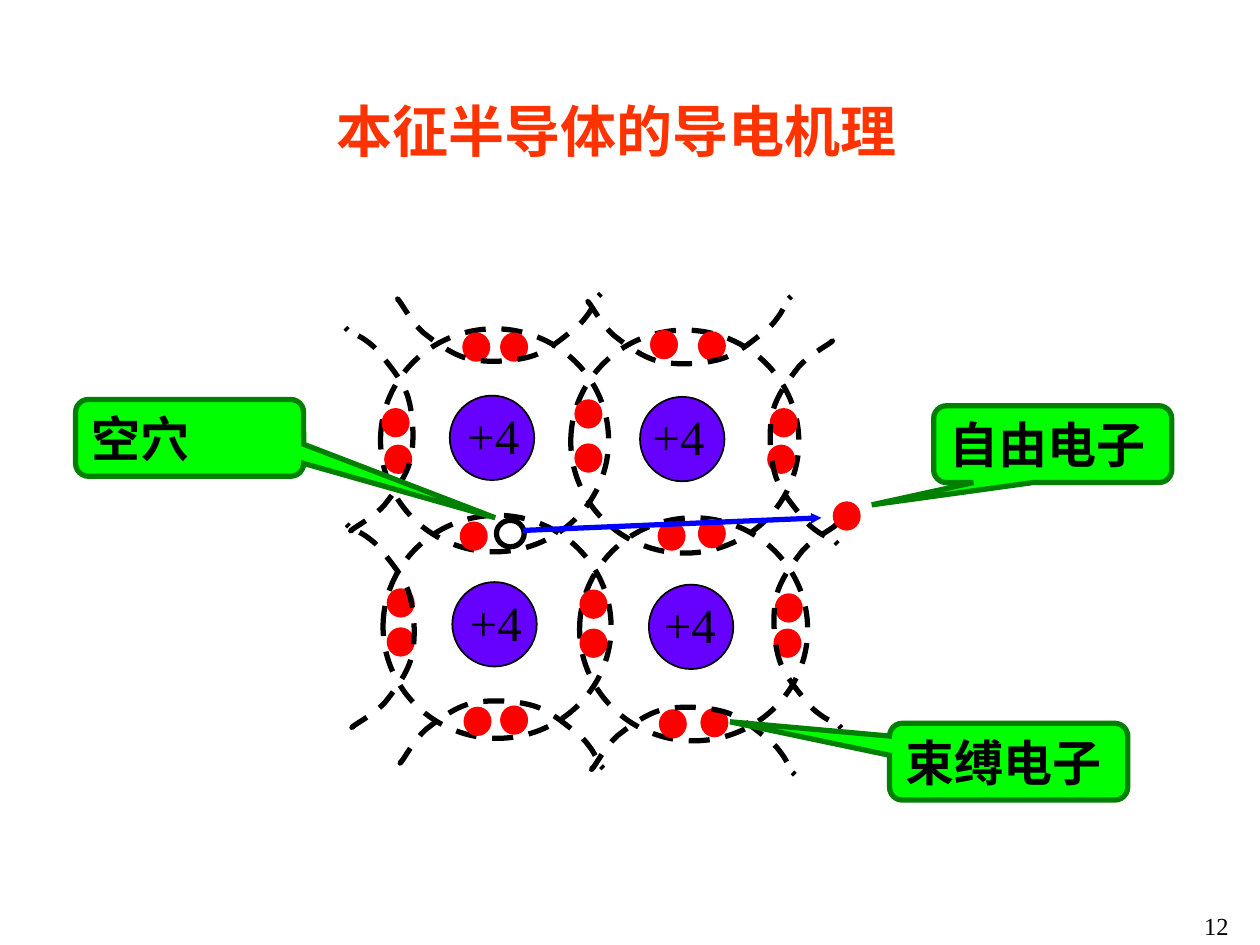
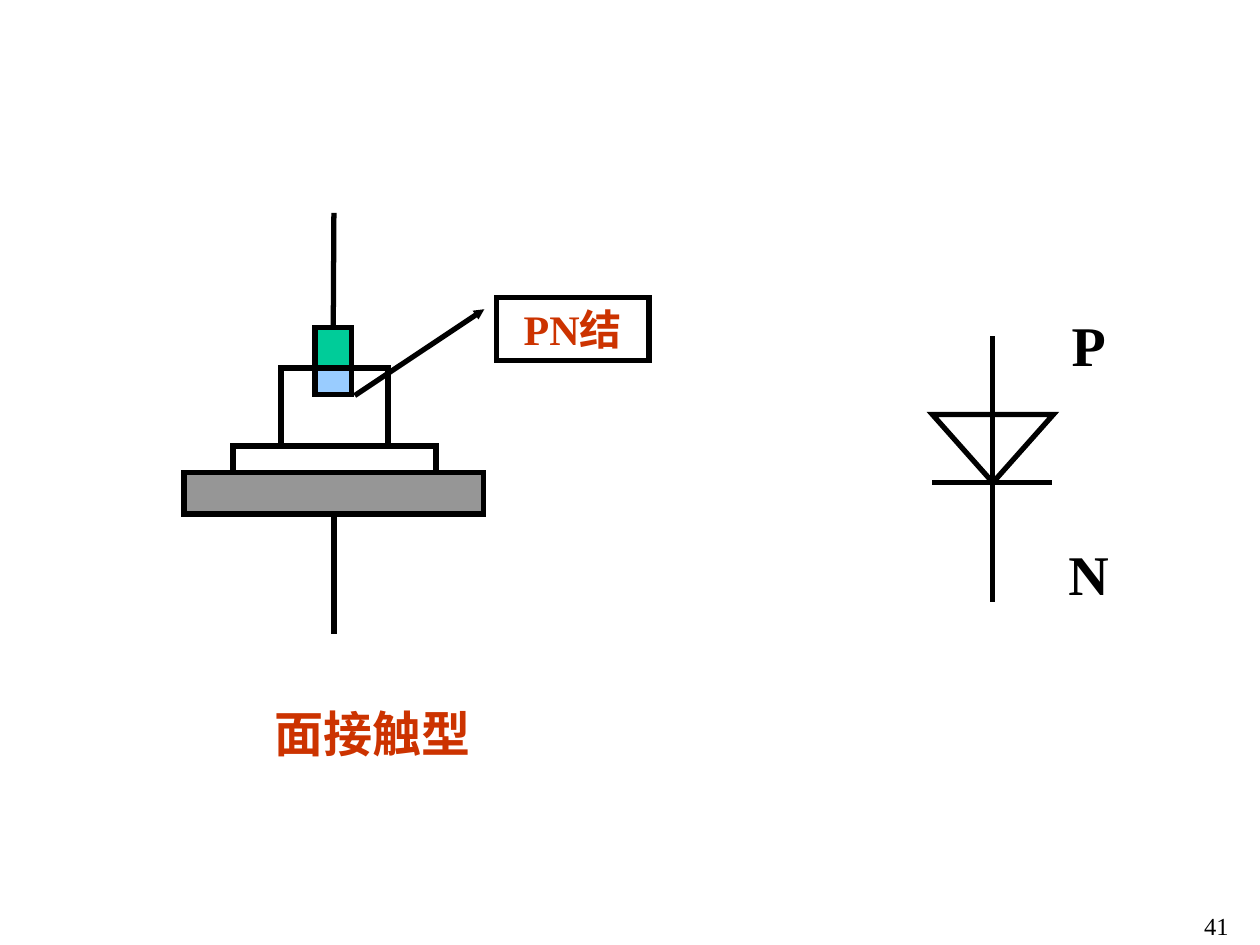
from typing import Callable, NamedTuple, Optional

from lxml import etree
from pptx import Presentation, util as u
from pptx.dml.color import RGBColor
from pptx.enum import dml, shapes, text
from pptx.oxml.ns import qn
from pptx.shapes.autoshape import Shape
from pptx.shapes.connector import Connector
from pptx.slide import Slide

COLORS = {
    "black": "000000",
    "white": "FFFFFF",
    "title": "FF3300",
    "label": "CC3300",
    "electron": "FF0000",
    "nucleus": "6600FF",
    "motion": "0000FF",
    "callout": "00FF00",
    "callout_edge": "008000",
    "base": "969696",
    "p_region": "00CC99",
    "n_region": "99CCFF",
}
FONT = "Times New Roman"
KINDS = shapes.MSO_SHAPE
LEFT, CENTER = text.PP_ALIGN.LEFT, text.PP_ALIGN.CENTER
TOP, MIDDLE = text.MSO_ANCHOR.TOP, text.MSO_ANCHOR.MIDDLE


class Frame(NamedTuple):
    x: float
    y: float
    width: float
    height: float

    def lengths(self) -> list[u.Length]:
        return [u.Inches(value) for value in self]


class Point(NamedTuple):
    x: float
    y: float


class Style(NamedTuple):
    size: int
    color: str = "black"
    bold: bool = True
    align: text.PP_ALIGN = LEFT
    anchor: text.MSO_ANCHOR = MIDDLE
    wrap: bool = True
    grow: bool = True


class Atom(NamedTuple):
    x: float
    y: float
    label_shift: float


class Arc(NamedTuple):
    side: str
    x: float
    y: float


class Callout(NamedTuple):
    words: str
    frame: Frame
    tip: Point
    wrap: bool


TITLE = Style(32, "title", align=CENTER, wrap=False)
CHARGE = Style(28, bold=False, anchor=TOP)
POLE = Style(32, align=CENTER)
CAPTION = Style(28, "label")
JUNCTION = Style(24, "label", align=CENTER)
PAGE_NUMBER = Style(14, bold=False, align=CENTER, grow=False)

ATOMS = [
    Atom(3.57, 3.14, 0.04), Atom(5.08, 3.15, 0),
    Atom(3.59, 4.62, 0.04), Atom(5.15, 4.64, 0.02),
]
ELECTRONS = [
    Point(4.58, 3.19), Point(4.58, 3.54), Point(5.56, 4.14), Point(5.24, 4.16),
    Point(4.62, 4.7), Point(4.62, 5.01), Point(3.67, 4.16), Point(3.09, 4.69),
    Point(3.09, 5), Point(3.69, 2.66), Point(3.99, 2.66), Point(3.05, 3.26),
    Point(3.07, 3.55), Point(5.58, 5.64), Point(5.25, 5.65), Point(6.11, 3.55),
    Point(6.13, 3.26), Point(3.99, 5.62), Point(3.7, 5.63), Point(5.56, 2.65),
    Point(5.18, 2.64), Point(6.16, 5.01), Point(6.17, 4.73),
]
FREE_ELECTRON = Point(6.63, 4)
ARC_DEPTH, ARC_SPAN = 0.56, 1.63
ARC_KNOTS = [
    Point(0.49, 0.03),
    Point(0.49, 0.02), Point(0.53, 0), Point(0.49, 0.03),
    Point(0.45, 0.06), Point(0.32, 0.13), Point(0.24, 0.22),
    Point(0.17, 0.31), Point(0.06, 0.45), Point(0.03, 0.59),
    Point(0, 0.73), Point(0.01, 0.93), Point(0.05, 1.07),
    Point(0.09, 1.21), Point(0.21, 1.34), Point(0.27, 1.42),
    Point(0.33, 1.49), Point(0.35, 1.5), Point(0.39, 1.53),
    Point(0.43, 1.56), Point(0.5, 1.59), Point(0.53, 1.61),
    Point(0.55, 1.62), Point(0.55, 1.63), Point(0.55, 1.63),
    Point(0.55, 1.63), Point(0.53, 1.61), Point(0.53, 1.61),
]
ARC_TURNS: dict[str, Callable[[Point], Point]] = {
    "right": lambda p: p,
    "left": lambda p: Point(ARC_DEPTH - p.x, ARC_SPAN - p.y),
    "top": lambda p: Point(p.y, ARC_DEPTH - p.x),
    "bottom": lambda p: Point(p.y, p.x),
}
ARCS = [
    Arc("right", 6.1, 2.69), Arc("right", 6.13, 4.15),
    Arc("top", 3.14, 2.32), Arc("top", 4.65, 2.34),
    Arc("bottom", 3.16, 5.55), Arc("bottom", 4.68, 5.6),
    Arc("left", 2.73, 2.6), Arc("left", 2.74, 4.16),
]
CALLOUTS = [
    Callout("自由电子", Frame(7.41, 3.22, 1.89, 0.61), Point(-0.76, 0.79), False),
    Callout("空穴", Frame(0.6, 3.17, 1.81, 0.61), Point(1.34, 1.04), True),
    Callout("束缚电子", Frame(7.06, 5.74, 1.89, 0.61), Point(-1.17, -0.52), False),
]


def rgb(color: str) -> RGBColor:
    return RGBColor.from_string(COLORS[color])


def paint(shape: Shape, fill: Optional[str], line: str = "black",
          weight: float = 3, dashed: bool = False) -> None:
    shape.shadow.inherit = False
    if fill:
        shape.fill.solid()
        shape.fill.fore_color.rgb = rgb(fill)
    else:
        shape.fill.background()
    shape.line.color.rgb = rgb(line)
    shape.line.width = u.Pt(weight)
    if dashed:
        shape.line.dash_style = dml.MSO_LINE.DASH


def write(shape: Shape, words: str, style: Style) -> None:
    frame = shape.text_frame
    frame.word_wrap = style.wrap
    frame.vertical_anchor = style.anchor
    if style.grow:
        frame.auto_size = text.MSO_AUTO_SIZE.SHAPE_TO_FIT_TEXT
    para = frame.paragraphs[0]
    para.alignment = style.align
    span = para.add_run()
    span.text = words
    span.font.name = FONT
    span.font.size = u.Pt(style.size)
    span.font.bold = style.bold
    span.font.color.rgb = rgb(style.color)


def add_text(page: Slide, frame: Frame, words: str, style: Style) -> None:
    write(page.shapes.add_textbox(*frame.lengths()), words, style)


def extend_outline(shape: Shape | Connector, tag: str, **settings: str) -> None:
    outline = shape.element.spPr.find(qn("a:ln"))
    etree.SubElement(outline, qn(tag), **settings)


def add_figure(page: Slide, kind: KINDS, frame: Frame, fill: Optional[str] = None,
               line: str = "black", weight: float = 3, dashed: bool = False) -> Shape:
    shape = page.shapes.add_shape(kind, *frame.lengths())
    paint(shape, fill, line, weight, dashed)
    extend_outline(shape, "a:miter", lim="800000")
    return shape


def add_arrowhead(shape: Shape | Connector, end: str) -> None:
    extend_outline(shape, f"a:{end}", type="triangle", w="sm", len="sm")


def add_line(page: Slide, start: Point, end: Point, color: str = "black") -> Connector:
    line = page.shapes.add_connector(
        shapes.MSO_CONNECTOR.STRAIGHT, *[u.Inches(value) for value in start + end])
    line.line.color.rgb = rgb(color)
    line.line.width = u.Pt(3)
    etree.SubElement(line.element.spPr, qn("a:effectLst"))
    return line


def add_electron(page: Slide, spot: Point) -> None:
    add_figure(page, KINDS.OVAL, Frame(*spot, 0.18, 0.19), "electron", "electron")


def bend(shape: Shape) -> None:
    segments = list(shape.element.iter(qn("a:lnTo")))
    for first in range(0, len(segments), 3):
        curve = etree.Element(qn("a:cubicBezTo"))
        segments[first].addprevious(curve)
        for segment in segments[first:first + 3]:
            curve.append(segment[0])
            segment.getparent().remove(segment)


def add_arc(page: Slide, arc: Arc) -> None:
    turned = [ARC_TURNS[arc.side](knot) for knot in ARC_KNOTS]
    placed = [(u.Inches(arc.x + p.x), u.Inches(arc.y + p.y)) for p in turned]
    builder = page.shapes.build_freeform(*placed[0])
    builder.add_line_segments(placed[1:], close=False)
    shape = builder.convert_to_shape()
    bend(shape)
    paint(shape, None, dashed=True)
    extend_outline(shape, "a:round")


def add_callout(page: Slide, callout: Callout) -> None:
    shape = add_figure(page, KINDS.ROUNDED_RECTANGULAR_CALLOUT, callout.frame,
                       "callout", "callout_edge")
    shape.adjustments[0], shape.adjustments[1] = callout.tip
    write(shape, callout.words, Style(28, wrap=callout.wrap))


def add_page_number(page: Slide, number: int) -> None:
    add_text(page, Frame(8.69, 7.18, 1.93, 0.33), str(number), PAGE_NUMBER)


def draw_conduction(page: Slide) -> None:
    for atom in ATOMS:
        add_figure(page, KINDS.OVAL, Frame(atom.x, atom.y, 0.67, 0.67),
                   "nucleus", weight=1)
        add_figure(page, KINDS.OVAL, Frame(atom.x - 0.55, atom.y - 0.53, 1.81, 1.77),
                   dashed=True)
    for spot in ELECTRONS:
        add_electron(page, spot)
    for arc in ARCS:
        add_arc(page, arc)
    for atom in ATOMS:
        add_text(page, Frame(atom.x + atom.label_shift, atom.y + 0.03, 0.77, 0.57),
                 "+4", CHARGE)
    add_text(page, Frame(2.57, 0.71, 4.65, 0.64), "本征半导体的导电机理", TITLE)
    add_electron(page, FREE_ELECTRON)
    add_figure(page, KINDS.OVAL, Frame(3.94, 4.13, 0.22, 0.21), "white")
    motion = add_line(page, Point(4.15, 4.21), Point(6.52, 4.11), "motion")
    add_arrowhead(motion, "tailEnd")
    for callout in CALLOUTS:
        add_callout(page, callout)


def draw_contact(page: Slide) -> None:
    base = add_figure(page, KINDS.RECTANGLE, Frame(1.46, 3.75, 2.38, 0.33), "base")
    add_figure(page, KINDS.RECTANGLE, Frame(1.85, 3.54, 1.61, 0.21))
    add_figure(page, KINDS.RECTANGLE, Frame(2.23, 2.92, 0.85, 0.62))
    p_region = add_figure(page, KINDS.RECTANGLE, Frame(2.5, 2.6, 0.29, 0.52), "p_region")
    add_figure(page, KINDS.RECTANGLE, Frame(2.5, 2.92, 0.29, 0.21), "n_region")
    lower_lead = add_line(page, Point(2.65, 4.08), Point(2.65, 5.03))
    lower_lead.begin_connect(base, 2)
    upper_lead = add_line(page, Point(2.65, 2.6), Point(2.65, 1.69))
    upper_lead.begin_connect(p_region, 0)
    junction = add_figure(page, KINDS.LINE_CALLOUT_1, Frame(3.94, 2.36, 1.21, 0.5))
    for index, value in enumerate((0.19, -0.08, 1.56, -0.93)):
        junction.adjustments[index] = value
    add_arrowhead(junction, "headEnd")
    write(junction, "PN结", JUNCTION)
    add_text(page, Frame(2.08, 5.53, 2.08, 0.57), "面接触型", CAPTION)


def draw_symbol(page: Slide) -> None:
    triangle = add_figure(page, KINDS.ISOSCELES_TRIANGLE, Frame(7.4, 3.29, 0.96, 0.54))
    triangle.rotation = 180
    add_line(page, Point(7.4, 3.83), Point(8.35, 3.83))
    add_line(page, Point(7.88, 2.67), Point(7.88, 4.78))
    for pole, top in (("P", 2.41), ("N", 4.23)):
        add_text(page, Frame(8.35, top, 0.58, 0.64), pole, POLE)


def draw_diode(page: Slide) -> None:
    draw_contact(page)
    draw_symbol(page)


def main() -> None:
    deck = Presentation()
    deck.slide_width, deck.slide_height = u.Inches(10), u.Inches(7.5)
    for number, draw in ((12, draw_conduction), (41, draw_diode)):
        page = deck.slides.add_slide(deck.slide_layouts[6])
        draw(page)
        add_page_number(page, number)
    deck.save("out.pptx")


if __name__ == "__main__":
    main()
